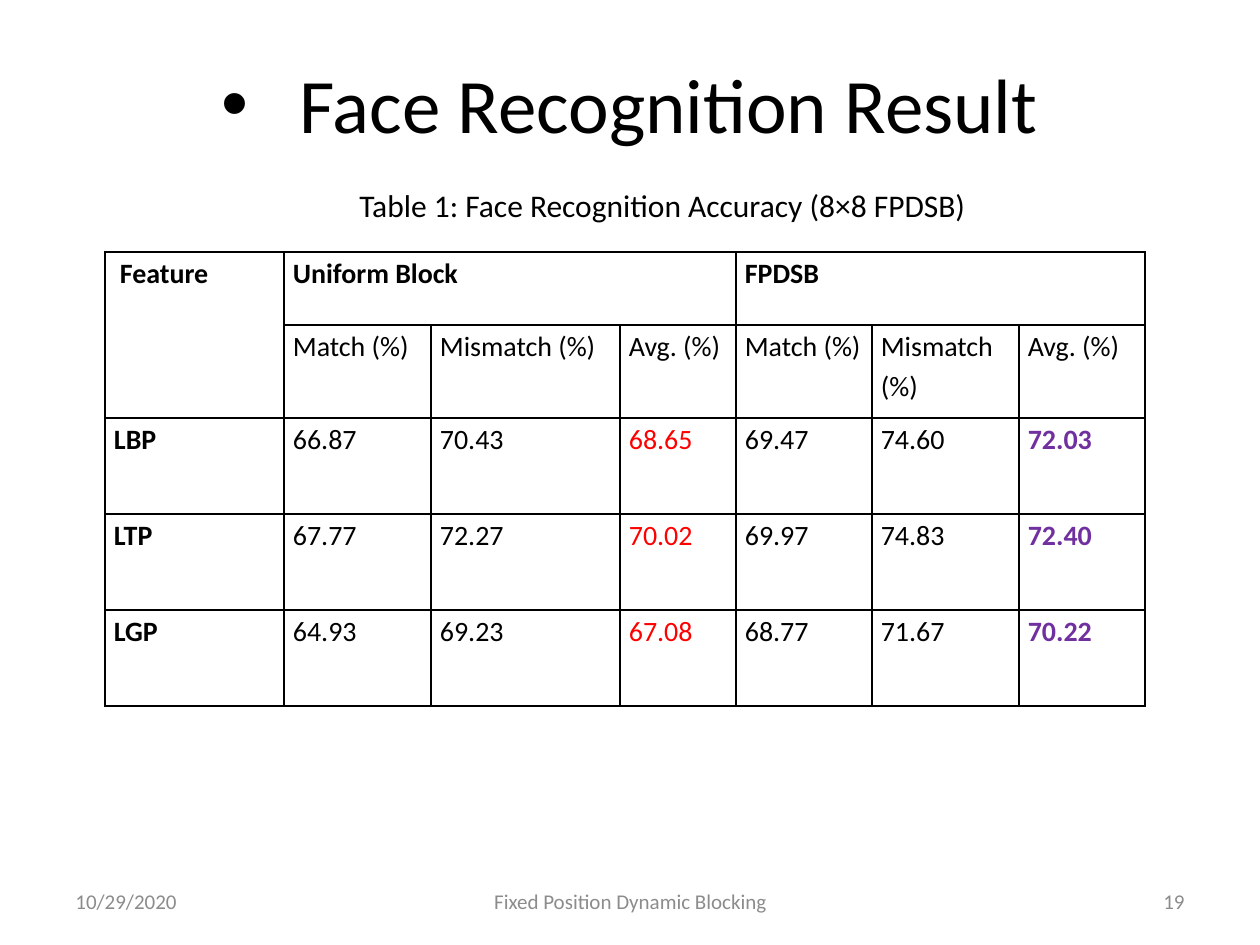
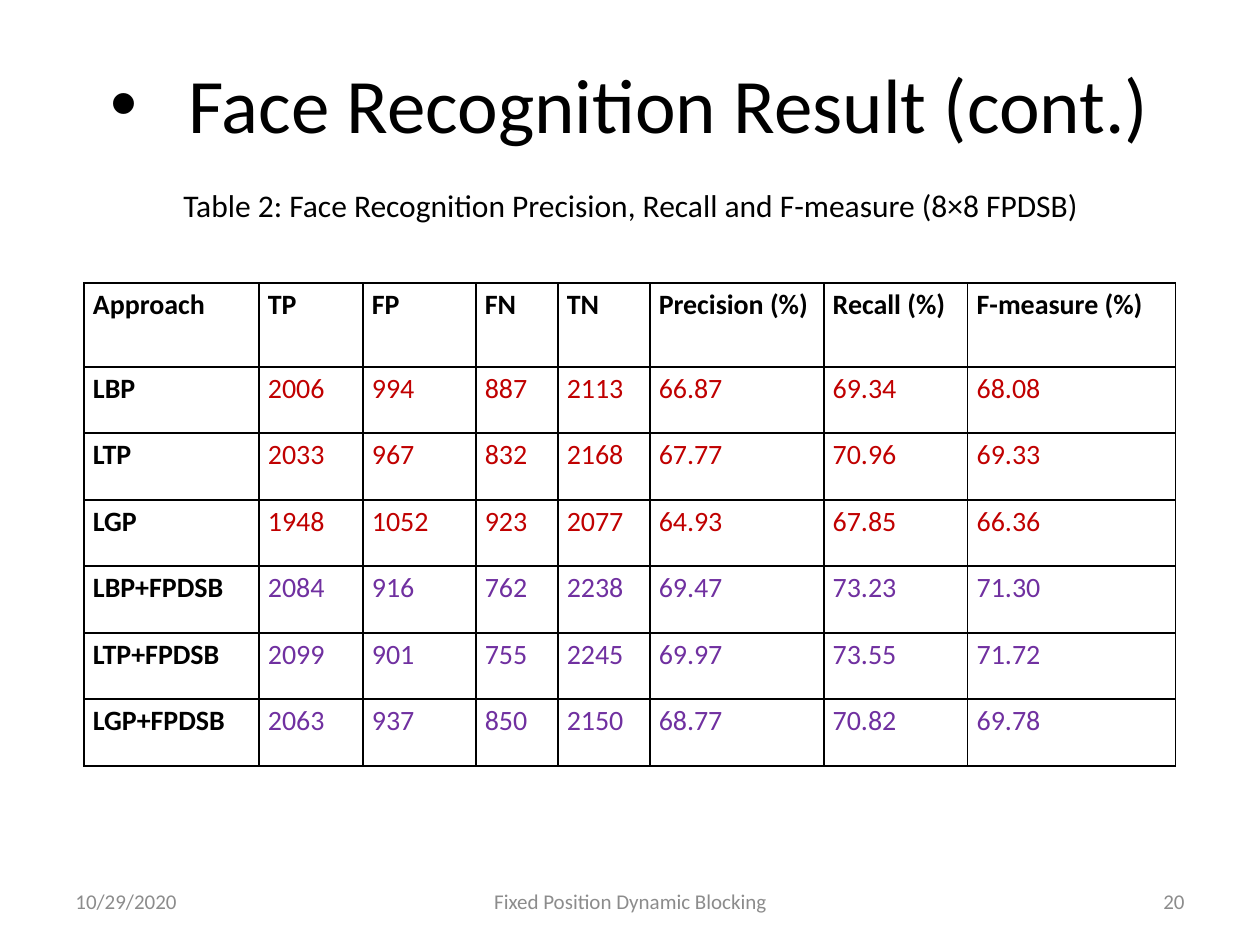
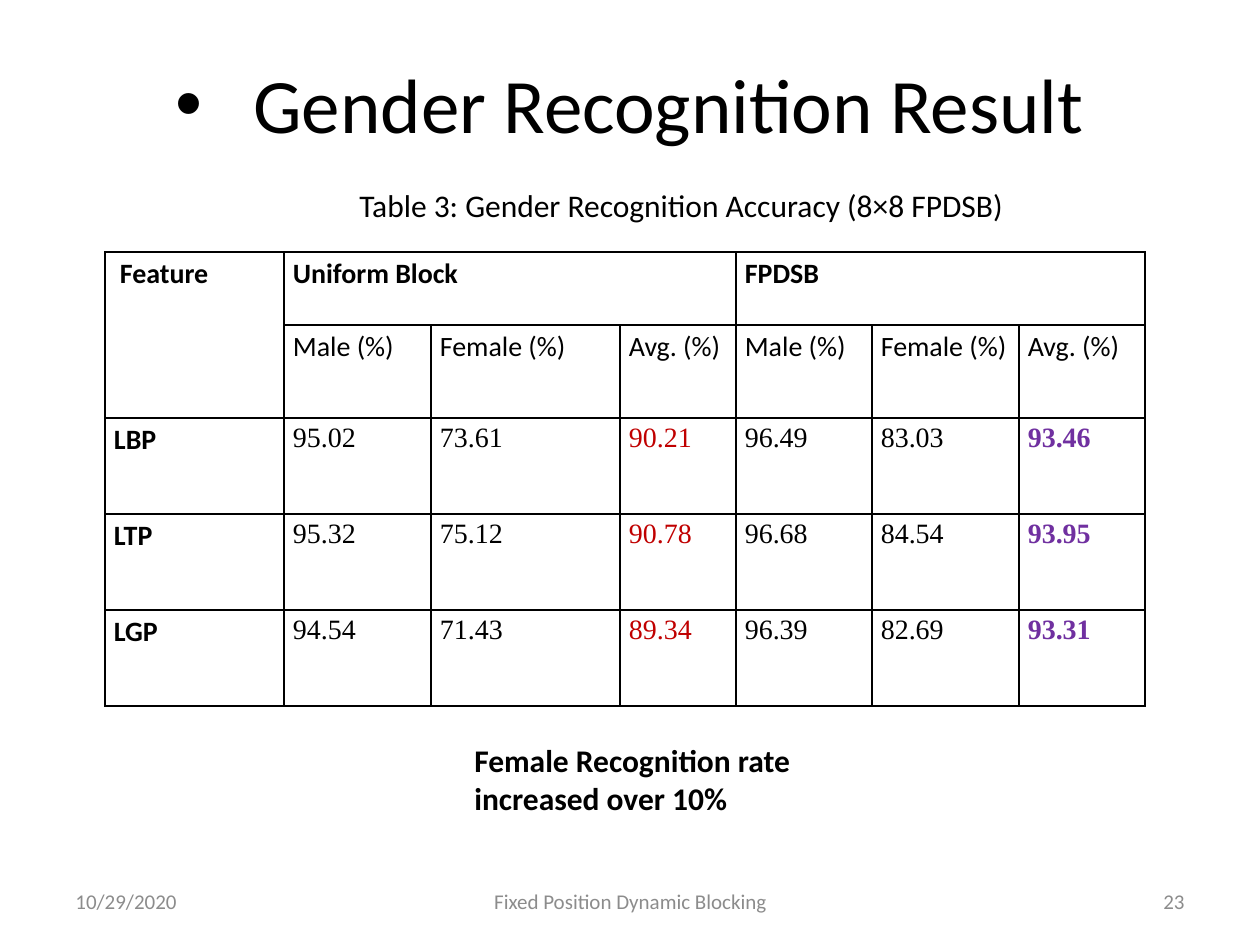
from lxml import etree
from pptx import Presentation
from pptx.dml.color import RGBColor
from pptx.enum.text import MSO_ANCHOR, MSO_AUTO_SIZE, PP_ALIGN
from pptx.oxml.ns import qn
from pptx.util import Pt

PX = 914400 // 126
BLACK = RGBColor(0x00, 0x00, 0x00)
GREY = RGBColor(0x8C, 0x8C, 0x8C)
RED = RGBColor(0xFF, 0x00, 0x00)
DARK_RED = RGBColor(0xC0, 0x00, 0x00)
PURPLE = RGBColor(0x70, 0x30, 0xA0)
LEFT, CENTER, RIGHT, JUSTIFY = PP_ALIGN.LEFT, PP_ALIGN.CENTER, PP_ALIGN.RIGHT, PP_ALIGN.JUSTIFY
TOP, MIDDLE = MSO_ANCHOR.TOP, MSO_ANCHOR.MIDDLE
GROW = MSO_AUTO_SIZE.SHAPE_TO_FIT_TEXT

SANS, SERIF = "Calibri", "Times New Roman"
TITLE_BOX = (63, 38, 1134, 130)
TITLE_INDENT = 78
FOOTER_TOP, FOOTER_HEIGHT = 876, 50
DATE, FOOTER = "10/29/2020", "Fixed Position Dynamic Blocking"

ACCURACY_BOX = (105, 252)
ACCURACY_COLS = [179, 147, 189, 116, 136, 147, 126]
ACCURACY_ROWS = [73, 93, 96, 96, 96]
MEASURE_BOX = (84, 283)
MEASURE_COLS = [175, 104, 113, 82, 92, 174, 144, 208]
MEASURE_ROWS = [84] + [66, 67] * 3

FACE_ACCURACY = [
    ["LBP", "66.87", "70.43", "68.65", "69.47", "74.60", "72.03"],
    ["LTP", "67.77", "72.27", "70.02", "69.97", "74.83", "72.40"],
    ["LGP", "64.93", "69.23", "67.08", "68.77", "71.67", "70.22"],
]
GENDER_ACCURACY = [
    ["LBP", "95.02", "73.61", "90.21", "96.49", "83.03", "93.46"],
    ["LTP", "95.32", "75.12", "90.78", "96.68", "84.54", "93.95"],
    ["LGP", "94.54", "71.43", "89.34", "96.39", "82.69", "93.31"],
]
FACE_MEASURES = [
    ["Approach", "TP", "FP", "FN", "TN", "Precision (%)", "Recall (%)", "F-measure (%)"],
    ["LBP", "2006", "994", "887", "2113", "66.87", "69.34", "68.08"],
    ["LTP", "2033", "967", "832", "2168", "67.77", "70.96", "69.33"],
    ["LGP", "1948", "1052", "923", "2077", "64.93", "67.85", "66.36"],
    ["LBP+FPDSB", "2084", "916", "762", "2238", "69.47", "73.23", "71.30"],
    ["LTP+FPDSB", "2099", "901", "755", "2245", "69.97", "73.55", "71.72"],
    ["LGP+FPDSB", "2063", "937", "850", "2150", "68.77", "70.82", "69.78"],
]


def write(tf, text, size, color=BLACK, bold=False, name=SANS, align=LEFT):
    p = tf.paragraphs[0]
    p.alignment = align
    r = p.add_run()
    r.text = text
    for key, value in {"size": Pt(size), "bold": bold, "name": name}.items():
        setattr(r.font, key, value)
    r.font.color.rgb = color
    return p


def place(sp, box):
    for key, value in zip(("left", "top", "width", "height"), box):
        setattr(sp, key, value * PX)


def add_text(s, box, text, size, anchor=TOP, wrap=True, grow=False, **style):
    sp = s.shapes.add_textbox(*(v * PX for v in box))
    tf = sp.text_frame
    tf.word_wrap = wrap
    tf.vertical_anchor = anchor
    if grow:
        tf.auto_size = GROW
    write(tf, text, size, **style)


def add_title(s, box, text):
    sp = s.shapes.title
    place(sp, box)
    sp.text_frame.vertical_anchor = MIDDLE
    p = write(sp.text_frame, text, 44, align=CENTER)
    pPr = p._p.get_or_add_pPr()
    pPr.set("marL", str(TITLE_INDENT * PX))
    pPr.set("indent", str(-TITLE_INDENT * PX))
    etree.SubElement(pPr, qn("a:buFont")).set("typeface", "Arial")
    etree.SubElement(pPr, qn("a:buChar")).set("char", "•")


def add_footer(s, top, number):
    for left, width, text, align in (
        (63, 294, DATE, LEFT),
        (431, 399, FOOTER, CENTER),
        (903, 294, str(number), RIGHT),
    ):
        add_text(s, (left, top, width, FOOTER_HEIGHT), text, 12,
                 anchor=MIDDLE, color=GREY, align=align)


def add_borders(cell):
    tcPr = cell._tc.get_or_add_tcPr()
    for i, side in enumerate(("a:lnL", "a:lnR", "a:lnT", "a:lnB")):
        ln = etree.Element(qn(side), w=str(Pt(1)))
        fill = etree.SubElement(ln, qn("a:solidFill"))
        etree.SubElement(fill, qn("a:srgbClr")).set("val", str(BLACK))
        tcPr.insert(i, ln)


def add_grid(s, origin, cols, rows, data, style_of):
    box = (*origin, sum(cols), sum(rows))
    table = s.shapes.add_table(len(rows), len(cols), *(v * PX for v in box)).table
    table.first_row = table.horz_banding = False
    for col, width in zip(table.columns, cols):
        col.width = width * PX
    for row, height in zip(table.rows, rows):
        row.height = height * PX
    margins = {"margin_left": 9, "margin_right": 9, "margin_top": 0, "margin_bottom": 0}
    for i, values in enumerate(data):
        for j, text in enumerate(values):
            cell = table.cell(i, j)
            for key, value in margins.items():
                setattr(cell, key, value * PX)
            cell.fill.background()
            add_borders(cell)
            if text:
                p = write(cell.text_frame, text, 16, align=JUSTIFY, **style_of(i, j))
                p.line_spacing = 1.15
    return table


def add_accuracy_table(s, origin, classes, results, uniform_color, value_font):
    def style_of(i, j):
        if i < 2 or j == 0:
            return {"bold": i != 1}
        color = {3: uniform_color, 6: PURPLE}.get(j, BLACK)
        return {"color": color, "bold": j == 6, "name": value_font}

    headings = [f"{name} (%)" for name in (*classes, "Avg.")]
    data = [
        ["Feature", "Uniform Block", "", "", "FPDSB", "", ""],
        ["", *headings, *headings],
        *results,
    ]
    table = add_grid(s, origin, ACCURACY_COLS, ACCURACY_ROWS, data, style_of)
    for first, last in (((0, 0), (1, 0)), ((0, 1), (0, 3)), ((0, 4), (0, 6))):
        table.cell(*first).merge(table.cell(*last))
    table.cell(0, 0).margin_left = 15 * PX


def add_measure_table(s, origin):
    def style_of(i, j):
        if i == 0 or j == 0:
            return {"bold": True}
        return {"color": DARK_RED if i < 4 else PURPLE}

    add_grid(s, origin, MEASURE_COLS, MEASURE_ROWS, FACE_MEASURES, style_of)


def add_result_slide(prs, title, number, caption, left, width):
    s = prs.slides.add_slide(prs.slide_layouts[5])
    add_title(s, TITLE_BOX, title)
    add_footer(s, FOOTER_TOP, number)
    add_text(s, (left, 180, width, 50), caption, 18, wrap=False, grow=True)
    return s


def main():
    prs = Presentation()
    prs.slide_width, prs.slide_height = 1260 * PX, 945 * PX

    s = add_result_slide(prs, "Face Recognition Result", 19,
                         "Table 1: Face Recognition Accuracy (8×8 FPDSB)", 347, 639)
    add_accuracy_table(s, ACCURACY_BOX, ("Match", "Mismatch"), FACE_ACCURACY, RED, SANS)

    s = add_result_slide(prs, "Face Recognition Result (cont.)", 20,
                         "Table 2: Face Recognition Precision, Recall and F-measure (8×8 FPDSB)",
                         171, 931)
    add_measure_table(s, MEASURE_BOX)

    s = add_result_slide(prs, "Gender Recognition Result", 23,
                         "Table 3: Gender Recognition Accuracy (8×8 FPDSB)", 347, 672)
    add_accuracy_table(s, ACCURACY_BOX, ("Male", "Female"), GENDER_ACCURACY, DARK_RED, SERIF)
    add_text(s, (462, 735, 368, 89), "Female Recognition rate increased over 10%", 18,
             grow=True, bold=True)

    prs.save("out.pptx")


if __name__ == "__main__":
    main()
